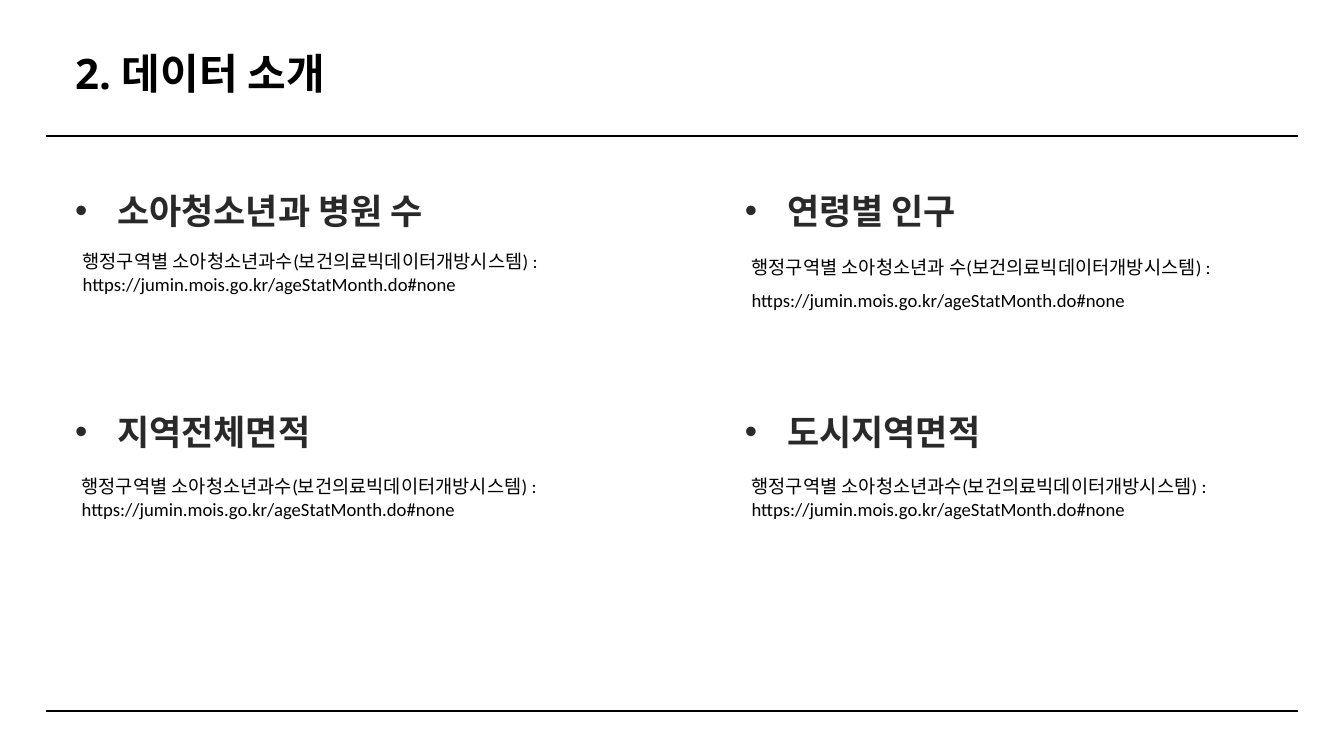
from lxml.etree import SubElement
from pptx import Presentation
from pptx.dml.color import RGBColor
from pptx.enum.shapes import MSO_CONNECTOR as Conn
from pptx.enum.text import MSO_ANCHOR as Anchor, MSO_AUTO_SIZE as Fit, PP_ALIGN as Align
from pptx.oxml.ns import qn
from pptx.util import Emu, Pt

BLACK = RGBColor(0, 0, 0)
DARK = RGBColor(0x29, 0x29, 0x29)

TITLE = "2. 데이터 소개"
URL = "https://jumin.mois.go.kr/ageStatMonth.do#none"
COUNT = "행정구역별 소아청소년과수(보건의료빅데이터개방시스템) : " + URL
SPACED = "행정구역별 소아청소년과 수(보건의료빅데이터개방시스템) : " + URL

# heading, source, source box (left, top, width, height), line spacing
TOPICS = [
    ("소아청소년과 병원 수", COUNT, (76, 247, 501, 75), None),
    ("연령별 인구", SPACED, (745, 241, 543, 114), 1.5),
    ("지역전체면적", COUNT, (75, 472, 501, 75), None),
    ("도시지역면적", COUNT, (745, 472, 501, 75), None),
]
COLS = (75, 745)
ROWS = (182, 403)
RULES = (136, 711)
INDENT = 42


def px(n):
    return Emu(round(n * 914400 / 67.2))


def place(shape, box):
    shape.left, shape.top, shape.width, shape.height = map(px, box)


def write(shape, text, size, font, color, bold=False, space=None, inset=True):
    """Fill the shape with one paragraph and return that paragraph."""
    frame = shape.text_frame
    frame.word_wrap = True
    frame.auto_size = Fit.SHAPE_TO_FIT_TEXT
    frame.vertical_anchor = Anchor.TOP
    if not inset:
        frame.margin_left = frame.margin_top = 0
        frame.margin_right = frame.margin_bottom = 0
    para = frame.paragraphs[0]
    if space:
        para.line_spacing = space
    run = para.add_run()
    run.text = text
    run.font.size = Pt(size)
    run.font.name = font
    run.font.bold = bold
    run.font.color.rgb = color
    return para


def add_box(slide, box):
    return slide.shapes.add_textbox(*map(px, box))


def add_bullet(para):
    props = para._p.get_or_add_pPr()
    props.set("marL", str(px(INDENT)))
    props.set("indent", str(-px(INDENT)))
    SubElement(props, qn("a:buFont")).set("typeface", "Arial")
    SubElement(props, qn("a:buChar")).set("char", "•")


def add_rule(slide, y):
    ends = map(px, (46, y, 1298, y))
    rule = slide.shapes.add_connector(Conn.STRAIGHT, *ends)
    rule.line.color.rgb = BLACK
    rule.line.width = Pt(1.5)
    SubElement(rule._element.spPr, qn("a:effectLst"))


def main():
    prs = Presentation()
    prs.slide_width, prs.slide_height = px(1344), px(756)
    slide = prs.slides.add_slide(prs.slide_layouts[5])

    for y in RULES:
        add_rule(slide, y)

    title = slide.shapes.title
    place(title, (75, 56, 355, 42))
    para = write(title, TITLE, 45, "Noto Sans", BLACK, True, Pt(45), False)
    para.alignment = Align.JUSTIFY

    for i, (head, source, box, space) in enumerate(TOPICS):
        row, col = divmod(i, len(COLS))
        shape = add_box(slide, (COLS[col], ROWS[row], 389, 46))
        para = write(shape, head, 37.5, "Noto Sans", DARK, True, Pt(52.6), False)
        add_bullet(para)
        write(add_box(slide, box), source, 20, "Calibri", BLACK, space=space)

    prs.save("out.pptx")


if __name__ == "__main__":
    main()
